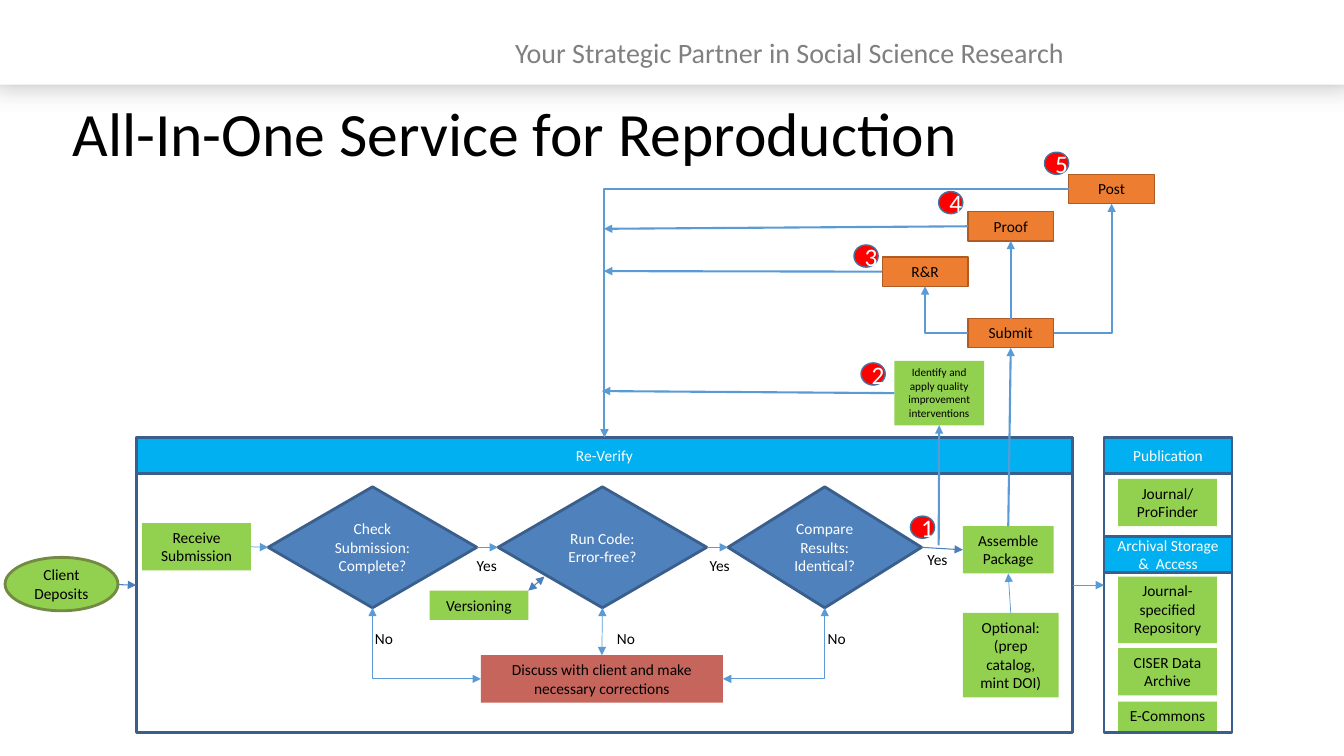
import dataclasses

import pptx
import pptx.dml.color
import pptx.enum.shapes
import pptx.enum.text
import pptx.oxml
import pptx.oxml.ns
import pptx.util

Inches = pptx.util.Inches
Pt = pptx.util.Pt
Shape = pptx.enum.shapes.MSO_SHAPE
Connector = pptx.enum.shapes.MSO_CONNECTOR
Align = pptx.enum.text.PP_ALIGN
Anchor = pptx.enum.text.MSO_ANCHOR
AutoSize = pptx.enum.text.MSO_AUTO_SIZE
TOP, LEFT, BOTTOM, RIGHT = range(4)


@dataclasses.dataclass(frozen=True)
class Theme:
    """Colours, font and type sizes of the slide."""
    font: str = "Calibri"
    title: float = 44
    tagline: float = 20
    badge: float = 18
    body: float = 11
    small: float = 8
    black: str = "000000"
    white: str = "FFFFFF"
    grey: str = "808080"
    green: str = "92D050"
    olive: str = "738A42"
    orange: str = "ED7D31"
    brown: str = "AF5C24"
    banner: str = "00B0F0"
    navy: str = "3A5F8C"
    diamond: str = "4F81BD"
    brick: str = "C5655B"
    red: str = "FF0000"
    badge_line: str = "43739E"
    arrow: str = "5B9BD5"
    dark_arrow: str = "4B7EBC"


THEME = Theme()


def rgb(value):
    """Turn a hex string into a colour."""
    return pptx.dml.color.RGBColor.from_string(value)


def write(shape, text, size=THEME.body, color=THEME.black, align=Align.CENTER,
          anchor=Anchor.MIDDLE, spacing=None, wrap=True, grow=False):
    """Fill a shape with text, one paragraph to a line."""
    frame = shape.text_frame
    frame.word_wrap = wrap
    frame.vertical_anchor = anchor
    frame.auto_size = AutoSize.SHAPE_TO_FIT_TEXT if grow else AutoSize.NONE
    frame.text = text
    for paragraph in frame.paragraphs:
        paragraph.alignment = align
        paragraph.line_spacing = spacing
        paragraph.font.name = THEME.font
        paragraph.font.size = Pt(size)
        paragraph.font.color.rgb = rgb(color)


def add_text(slide, text, left, top, width, height, **style):
    """Add a left-aligned text box."""
    shape = slide.shapes.add_textbox(Inches(left), Inches(top), Inches(width), Inches(height))
    write(shape, text, align=Align.LEFT, anchor=Anchor.TOP, **style)


def add_box(slide, text, left, top, width, height, kind=Shape.RECTANGLE,
            fill=None, line=None, weight=2, **style):
    """Add a preset shape with optional fill, outline and text."""
    shape = slide.shapes.add_shape(kind, Inches(left), Inches(top), Inches(width), Inches(height))
    shape.shadow.inherit = False
    if fill:
        shape.fill.solid()
        shape.fill.fore_color.rgb = rgb(fill)
    else:
        shape.fill.background()
    if line:
        shape.line.color.rgb = rgb(line)
        shape.line.width = Pt(weight)
    else:
        shape.line.fill.background()
    if text:
        write(shape, text, **style)
    return shape


def add_step(slide, text, left, top, width, height, fill=THEME.green, **style):
    """Add a process box whose text starts at the top."""
    return add_box(slide, text, left, top, width, height, fill=fill,
                   anchor=Anchor.TOP, grow=True, **style)


def add_stage(slide, text, left, top):
    """Add an orange publishing stage."""
    return add_step(slide, text, left, top, 0.85, 0.29, fill=THEME.orange,
                    line=THEME.brown, weight=1)


def add_banner(slide, text, left, top, width):
    """Add a blue heading bar."""
    add_box(slide, text, left, top, width, 0.36, fill=THEME.banner, line=THEME.navy,
            color=THEME.white)


def add_decision(slide, text, left, width):
    """Add a decision diamond."""
    return add_box(slide, text, left, 4.83, width, 1.2, kind=Shape.FLOWCHART_DECISION,
                   fill=THEME.diamond, line=THEME.navy, color=THEME.white)


def add_arrow(slide, start, end, weight=0.5, color=THEME.arrow, double=False, bent=False):
    """Join two (shape, side) pairs or (x, y) points; bent arrows leave horizontally."""
    connector = slide.shapes.add_connector(
        Connector.ELBOW if bent else Connector.STRAIGHT,
        *[Inches(0) if hasattr(place[0], "shape_id") else Inches(value)
          for place in (start, end) for value in place])
    if hasattr(start[0], "shape_id"):
        connector.begin_connect(*start)
    if hasattr(end[0], "shape_id"):
        connector.end_connect(*end)
    connector.line.color.rgb = rgb(color)
    connector.line.width = Pt(weight)
    properties = connector._element.spPr
    if bent:
        properties.find(pptx.oxml.ns.qn("a:prstGeom")).set("prst", "bentConnector2")
    line = properties.find(pptx.oxml.ns.qn("a:ln"))
    for tag in ("headEnd", "tailEnd") if double else ("tailEnd",):
        line.append(pptx.oxml.parse_xml(
            f'<a:{tag} {pptx.oxml.ns.nsdecls("a")} type="triangle"/>'))
    properties.append(pptx.oxml.parse_xml(f'<a:effectLst {pptx.oxml.ns.nsdecls("a")}/>'))


def add_header(slide):
    """Add the white top band with its soft shadow, the tagline and the title."""
    band = add_box(slide, "", -0.08, -0.09, 13.5, 0.93, fill=THEME.white)
    effects = band._element.spPr.find(pptx.oxml.ns.qn("a:effectLst"))
    effects.append(pptx.oxml.parse_xml(
        f'<a:outerShdw {pptx.oxml.ns.nsdecls("a")} blurRad="{Pt(20)}" dist="0" dir="5400000">'
        f'<a:srgbClr val="{THEME.grey}"><a:alpha val="56000"/></a:srgbClr></a:outerShdw>'))
    add_text(slide, "Your Strategic Partner in Social Science Research", 5.01, 0.34, 8.32, 0.51,
             size=THEME.tagline, color=THEME.grey, spacing=0.9)
    add_text(slide, "All-In-One Service for Reproduction", 0.62, 0.98, 11.16, 0.89,
             size=THEME.title, spacing=0.9)


def add_publication(slide):
    """Add the publication and archive column and return its frame."""
    frame = add_box(slide, "", 10.95, 4.34, 1.27, 2.93, line=THEME.navy)
    add_banner(slide, "Publication", 10.95, 4.34, 1.27)
    add_banner(slide, "Archival Storage &  Access", 10.95, 5.32, 1.27)
    for text, top, height in (("Journal/\nProFinder", 4.75, 0.47),
                              ("Journal-specified Repository", 5.72, 0.66),
                              ("CISER Data Archive", 6.43, 0.47),
                              ("E-Commons", 6.96, 0.29)):
        add_step(slide, text, 11.09, top, 0.98, height)
    return frame


def add_flow(slide):
    """Add the review workflow, its arrows and the feedback loops."""
    frame = add_box(slide, "", 1.35, 4.34, 9.29, 2.93, line=THEME.navy)
    add_banner(slide, "Re-Verify", 1.35, 4.34, 9.29)
    publication = add_publication(slide)
    add_box(slide, "Client Deposits", 0.05, 5.53, 1.12, 0.53, kind=Shape.OVAL,
            fill=THEME.green, line=THEME.olive)
    receive = add_step(slide, "Receive Submission", 1.41, 5.19, 1.08, 0.47)
    check = add_decision(slide, "Check Submission: Complete?", 2.66, 2.07)
    run = add_decision(slide, "Run Code:\nError-free?", 4.94, 2.07)
    compare = add_decision(slide, "Compare Results:\nIdentical?", 7.22, 1.92)
    assemble = add_step(slide, "Assemble Package", 9.55, 5.22, 0.9, 0.47)
    optional = add_step(slide, "Optional:\n(prep catalog, mint DOI)", 9.55, 6.08, 0.95, 0.84)
    discuss = add_step(slide, "Discuss with client and make necessary corrections",
                       4.77, 6.5, 2.4, 0.47, fill=THEME.brick)
    add_step(slide, "Versioning", 4.26, 5.86, 0.98, 0.29)
    improve = add_step(slide, "Identify and apply quality improvement interventions",
                       8.87, 3.58, 0.89, 0.64, size=THEME.small)
    submit = add_stage(slide, "Submit", 9.6, 3.16)
    revise = add_stage(slide, "R&R", 8.75, 2.55)
    proof = add_stage(slide, "Proof", 9.6, 2.1)
    post = add_stage(slide, "Post", 10.6, 1.73)

    for start, end in (((receive, RIGHT), (check, LEFT)), ((check, RIGHT), (run, LEFT)),
                       ((run, RIGHT), (compare, LEFT)), ((optional, TOP), (assemble, BOTTOM)),
                       ((frame, RIGHT), (publication, LEFT))):
        add_arrow(slide, start, end)
    add_arrow(slide, (1.18, 5.8), (frame, LEFT), 0.75, THEME.dark_arrow)
    add_arrow(slide, (compare, RIGHT), (assemble, LEFT), 0.75, THEME.dark_arrow)
    add_arrow(slide, (5.24, 5.86), (5.4, 5.72), 0.75, THEME.dark_arrow, double=True)
    add_arrow(slide, (run, BOTTOM), (discuss, TOP), double=True)
    add_arrow(slide, (discuss, LEFT), (check, BOTTOM), double=True, bent=True)
    add_arrow(slide, (discuss, RIGHT), (compare, BOTTOM), double=True, bent=True)
    for start, end in (((assemble, TOP), (submit, BOTTOM)), ((submit, TOP), (proof, BOTTOM)),
                       ((9.31, 5.41), (improve, BOTTOM)), ((improve, LEFT), (5.97, 3.88)),
                       ((revise, LEFT), (5.99, 2.69)), ((proof, LEFT), (5.99, 2.27))):
        add_arrow(slide, start, end, 1.5)
    for start, end in (((submit, LEFT), (revise, BOTTOM)), ((submit, RIGHT), (post, BOTTOM)),
                       ((post, LEFT), (frame, TOP))):
        add_arrow(slide, start, end, 1.5, bent=True)


def add_labels(slide):
    """Add the branch labels and the numbered badges."""
    for text, left, top in (("Yes", 4.63, 5.47), ("Yes", 6.94, 5.47), ("Yes", 9.1, 5.41),
                            ("No", 3.62, 6.19), ("No", 6.02, 6.19), ("No", 8.11, 6.19)):
        add_text(slide, text, left, top, 0.4, 0.29, wrap=False, grow=True)
    badges = ((9.03, 5.12), (8.54, 3.6), (8.47, 2.43), (9.31, 1.9), (10.36, 1.51))
    for number, (left, top) in enumerate(badges, 1):
        add_box(slide, str(number), left, top, 0.24, 0.22, kind=Shape.OVAL, fill=THEME.red,
                line=THEME.badge_line, weight=1, size=THEME.badge, color=THEME.white)


def main():
    """Build the slide and save it."""
    presentation = pptx.Presentation()
    presentation.slide_width = Inches(13.33)
    presentation.slide_height = Inches(7.5)
    slide = presentation.slides.add_slide(presentation.slide_layouts[6])
    add_header(slide)
    add_flow(slide)
    add_labels(slide)
    presentation.save("out.pptx")


if __name__ == "__main__":
    main()
